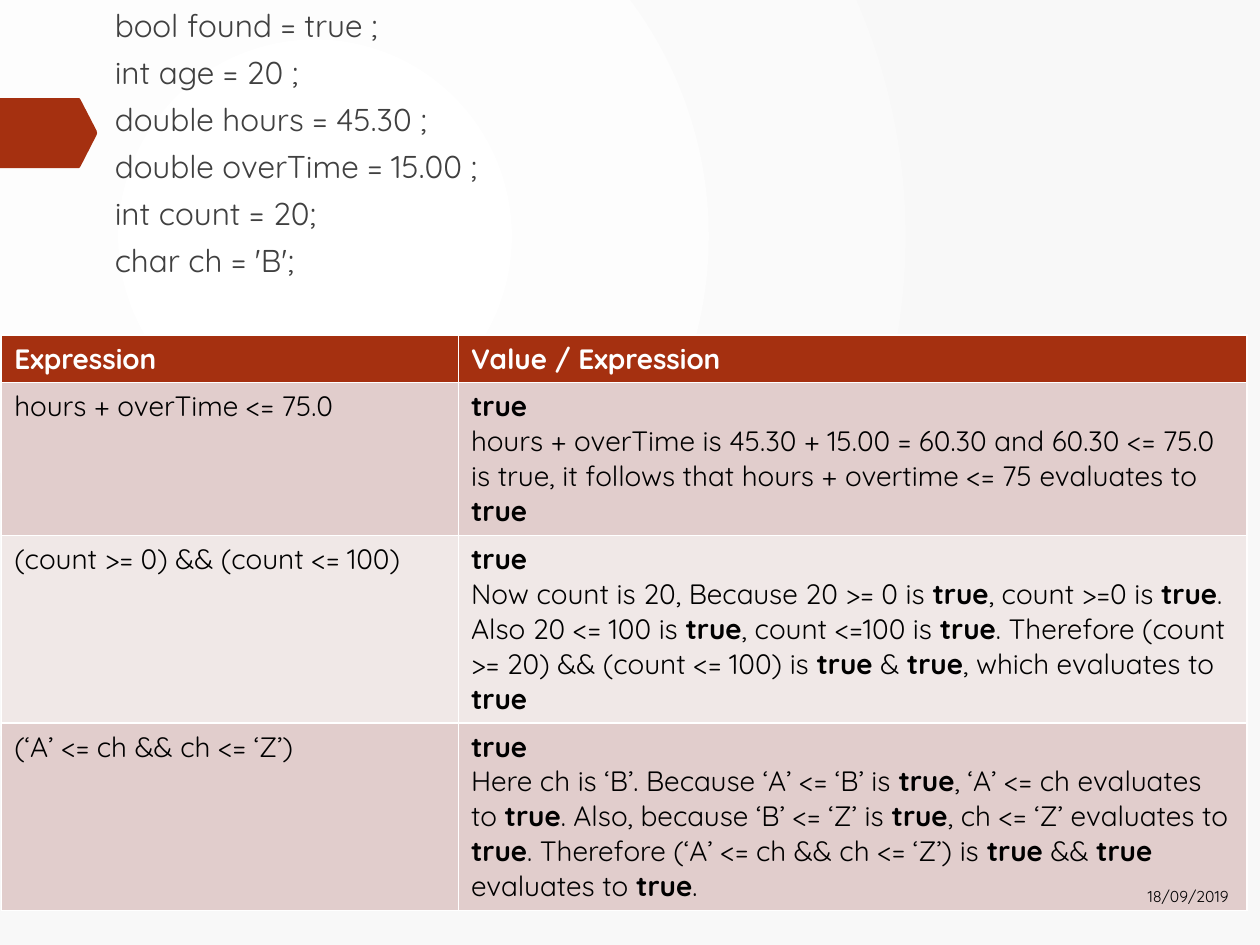
"""Build a slide that evaluates three logical expressions over declared variables."""
from lxml.etree import SubElement
from pptx import Presentation
from pptx.dml.color import RGBColor
from pptx.enum.text import MSO_ANCHOR as Anchor, PP_ALIGN as Align
from pptx.oxml.ns import qn
from pptx.util import Pt

FONT = "Quicksand"
WHITE = RGBColor(0xFF, 0xFF, 0xFF)
OFF_WHITE = RGBColor(0xF8, 0xF8, 0xF8)
BLACK = RGBColor(0x00, 0x00, 0x00)
GREY = RGBColor(0x40, 0x40, 0x40)
RUST = RGBColor(0xA5, 0x30, 0x10)
ROSE = RGBColor(0xE1, 0xCD, 0xCC)
PALE_ROSE = RGBColor(0xF0, 0xE8, 0xE7)

DECLARATIONS = [
    "bool found = true ;",
    "int age = 20 ;",
    "double hours = 45.30 ;",
    "double overTime = 15.00 ;",
    "int count = 20;",
    "char ch = 'B';",
]
ROWS = [
    (27.2, RUST, WHITE, ["*Expression*"], ["*Value / Expression*"]),
    (87.2, ROSE, BLACK, ["hours + overTime <= 75.0"], [
        "*true*",
        "hours + overTime is 45.30 + 15.00 = 60.30 and 60.30 <= 75.0 is true, "
        "it follows that hours + overtime <= 75 evaluates to *true*",
    ]),
    (107.2, PALE_ROSE, BLACK, ["(count >= 0) && (count <= 100)"], [
        "*true*",
        "Now count is 20, Because 20 >= 0 is *true*, count >=0 is *true*. "
        "Also 20 <= 100 is *true*, count <=100 is *true*. Therefore "
        "(count >= 20) && (count <= 100) is *true* & *true*, "
        "which evaluates to *true*",
    ]),
    (107.2, ROSE, BLACK, ["(‘A’ <= ch && ch <= ‘Z’)"], [
        "*true*",
        "Here ch is ‘B’. Because ‘A’ <= ‘B’ is *true*, ‘A’ <= ch evaluates to "
        "*true*. Also, because ‘B’ <= ‘Z’ is *true*, ch <= ‘Z’ evaluates to "
        "*true*. Therefore (‘A’ <= ch && ch <= ‘Z’) is *true* && *true* "
        "evaluates to *true*.",
    ]),
]


def write(frame, lines, size, color, **paragraph_format):
    """Fill a text frame; asterisks enclose bold words."""
    for index, line in enumerate(lines):
        paragraph = frame.add_paragraph() if index else frame.paragraphs[0]
        for name, value in paragraph_format.items():
            setattr(paragraph, name, value)
        for position, words in enumerate(line.split("*")):
            if words:
                run = paragraph.add_run()
                run.text = words
                run.font.color.rgb = color
                font_format = {"name": FONT, "size": Pt(size), "bold": position % 2 == 1}
                for name, value in font_format.items():
                    setattr(run.font, name, value)


presentation = Presentation()
presentation.slide_width, presentation.slide_height = Pt(720), Pt(540)
slide = presentation.slides.add_slide(presentation.slide_layouts[6])

background = slide.background.fill
background.gradient()
for stop, color in zip(background.gradient_stops, (WHITE, OFF_WHITE)):
    stop.color.rgb = color
gradient = slide.element.find(".//" + qn("a:gradFill"))
gradient.remove(gradient.find(qn("a:lin")))
circle = SubElement(gradient, qn("a:path"), {"path": "circle"})
SubElement(circle, qn("a:fillToRect"), {"l": "50000", "t": "50000", "r": "100000", "b": "100000"})

builder = slide.shapes.build_freeform(Pt(0), Pt(56))
tag_points = [(45.2, 56), (46, 56.8), (55.2, 74.6), (55.5, 76), (55.2, 77.2),
              (46, 95.2), (45.2, 96), (0, 96)]
builder.add_line_segments([(Pt(x), Pt(y)) for x, y in tag_points])
tag = builder.convert_to_shape()
tag.shadow.inherit = False
tag.fill.solid()
tag.fill.fore_color.rgb = RUST
tag.line.fill.background()

table = slide.shapes.add_table(
    len(ROWS), 2, Pt(1), Pt(191.5), Pt(711.5), Pt(sum(row[0] for row in ROWS))
).table
for column, width in zip(table.columns, (261, 450.5)):
    column.width = Pt(width)
for row, (height, fill, color, *texts) in zip(table.rows, ROWS):
    row.height = Pt(height)
    for cell, lines in zip(row.cells, texts):
        cell.fill.solid()
        cell.fill.fore_color.rgb = fill
        write(cell.text_frame, lines, 16, color)

TEXT_BOXES = [
    ((58.5, 0, 588, 201.5), Anchor.TOP, DECLARATIONS, 18, GREY, {"space_before": Pt(5.2)}),
    ((605.5, 497.5, 106, 29), Anchor.MIDDLE, ["18/09/2019 "], 9, BLACK, {"alignment": Align.RIGHT}),
]
for bounds, anchor, lines, size, color, paragraph_format in TEXT_BOXES:
    frame = slide.shapes.add_textbox(*map(Pt, bounds)).text_frame
    for name, value in {"word_wrap": True, "vertical_anchor": anchor}.items():
        setattr(frame, name, value)
    write(frame, lines, size, color, **paragraph_format)

presentation.save("out.pptx")
